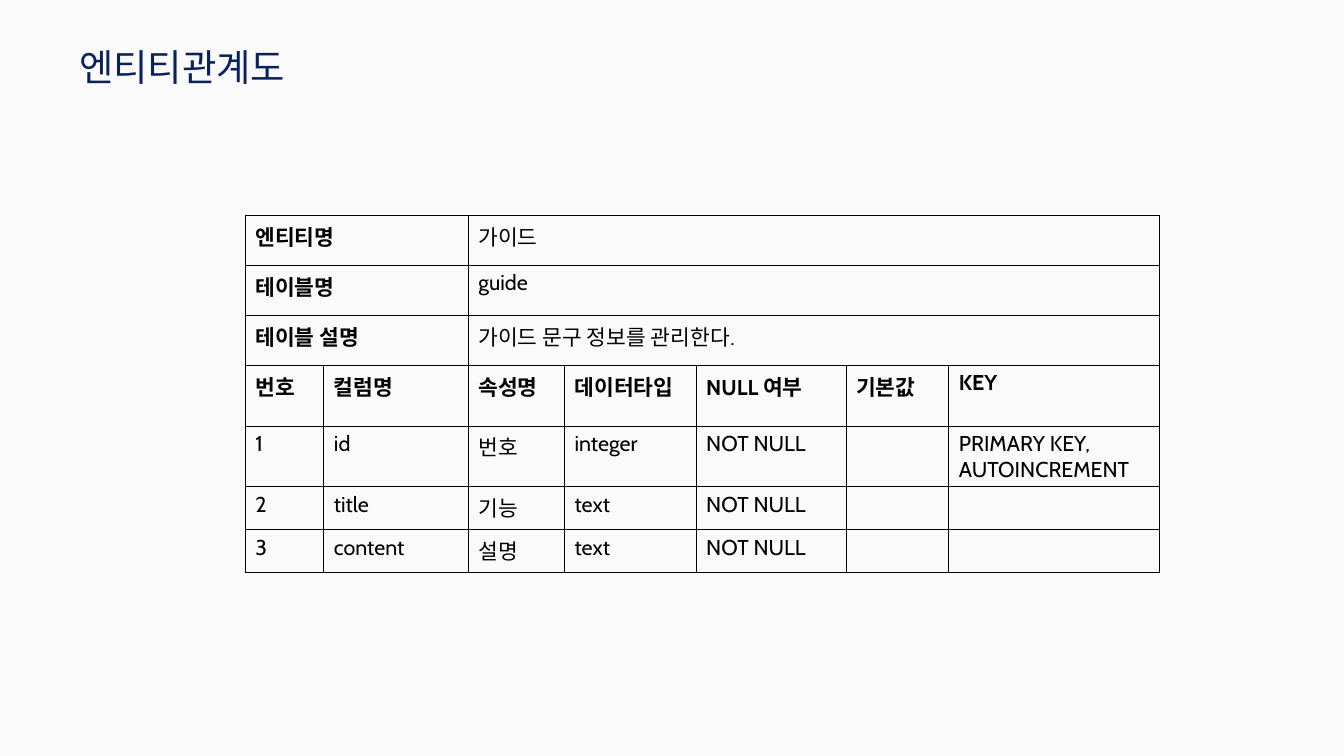
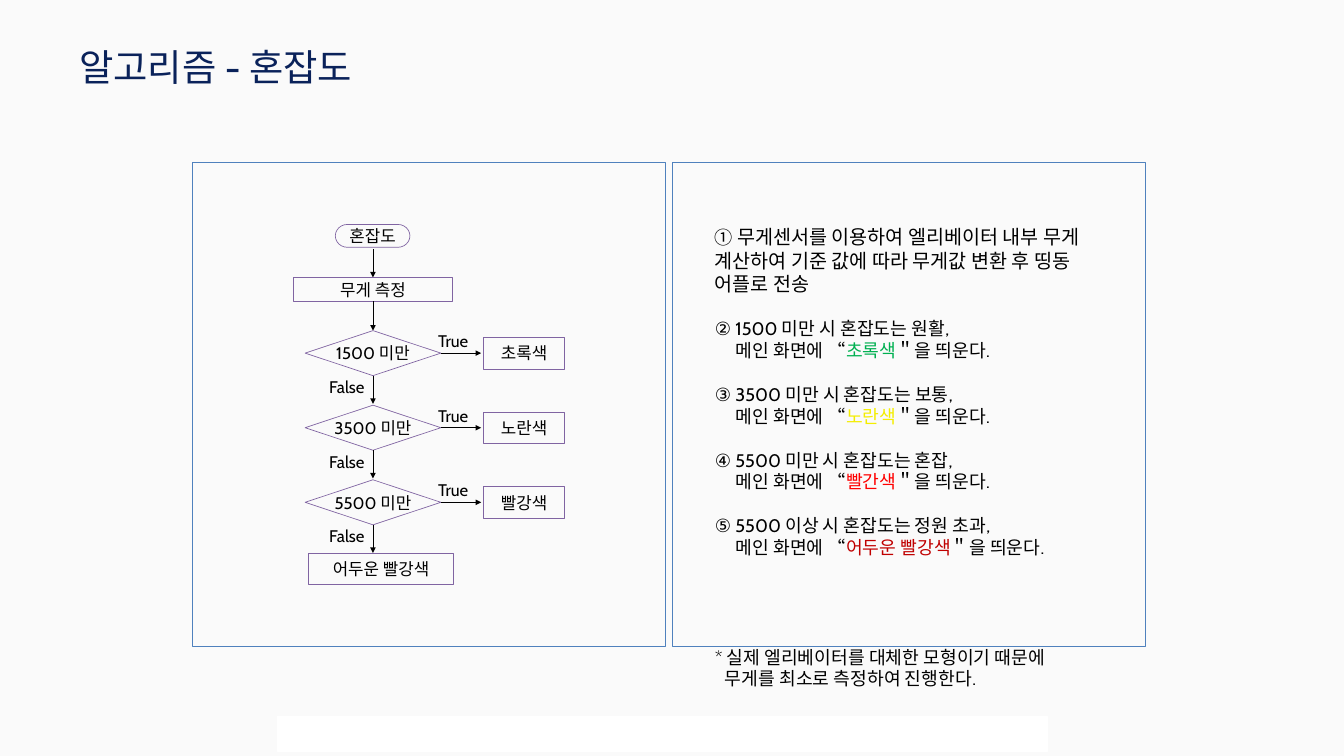
from lxml import etree
from pptx import Presentation
from pptx.dml.color import RGBColor
from pptx.enum.shapes import MSO_CONNECTOR, MSO_SHAPE as SHAPE
from pptx.enum.text import MSO_ANCHOR as ANCHOR, MSO_AUTO_SIZE as FIT, PP_ALIGN as ALIGN
from pptx.oxml.ns import qn
from pptx.util import Inches, Pt

# Shared style
FONT = "Cabin"
BACKGROUND = RGBColor(0xFA, 0xFA, 0xFA)
NAVY = RGBColor(0x0A, 0x22, 0x5A)
BLACK = RGBColor(0, 0, 0)
WHITE = RGBColor(0xFF, 0xFF, 0xFF)
BLUE = RGBColor(0x4F, 0x81, 0xBD)
PURPLE = RGBColor(0x80, 0x64, 0xA2)
GREEN = RGBColor(0x00, 0xB0, 0x50)
YELLOW = RGBColor(0xF4, 0xEE, 0x00)
RED = RGBColor(0xFF, 0, 0)
DARK_RED = RGBColor(0xC0, 0, 0)

# Slide grid: 20 columns by 11.25 rows
COLS, ROWS = 20, 11.25
SLIDE_W, SLIDE_H = Inches(20), Inches(11.25)

# Entity table
COLUMN_WIDTHS = [1.17, 2.15, 1.43, 1.96, 2.23, 1.53, 3.14]
ROW_HEIGHTS = [0.74, 0.75, 0.74, 0.9, 0.9, 0.64, 0.64]
ENTITY = [
    ("엔티티명", "가이드"),
    ("테이블명", "guide"),
    ("테이블 설명", "가이드 문구 정보를 관리한다."),
]
FIELDS = [
    ("번호", "컬럼명", "속성명", "데이터타입", "NULL 여부", "기본값", "KEY"),
    ("1", "id", "번호", "integer", "NOT NULL", "", "PRIMARY KEY, AUTOINCREMENT"),
    ("2", "title", "기능", "text", "NOT NULL", "", ""),
    ("3", "content", "설명", "text", "NOT NULL", "", ""),
]

# Flowchart and explanation
DECISIONS = [("1500 미만", "초록색"), ("3500 미만", "노란색"), ("5500 미만", "빨강색")]
LEVELS = [
    ("② 1500 미만 시 혼잡도는 원활,", "초록색", GREEN),
    ("③ 3500 미만 시 혼잡도는 보통,", "노란색", YELLOW),
    ("④ 5500 미만 시 혼잡도는 혼잡,", "빨간색", RED),
    ("⑤ 5500 이상 시 혼잡도는 정원 초과,", "어두운 빨강색", DARK_RED),
]
NOTE_SIZE = 19.5
NOTE_GAP = 23.5


def col(n):
    return int(SLIDE_W * n / COLS)


def row(n):
    return int(SLIDE_H * n / ROWS)


def place(x, y, w, h):
    return col(x), row(y), col(w), row(h)


def style(font, size, color=BLACK, bold=False):
    font.name, font.size, font.bold = FONT, Pt(size), bold
    font.color.rgb = color


def add_slide(prs, title):
    s = prs.slides.add_slide(prs.slide_layouts[5])
    sp = s.shapes.title
    sp.left, sp.top, sp.width, sp.height = place(1.08, 0.6, 6.32, 0.77)
    tf = sp.text_frame
    tf.text = title
    tf.word_wrap, tf.auto_size = True, FIT.SHAPE_TO_FIT_TEXT
    tf.vertical_anchor = ANCHOR.TOP
    p = tf.paragraphs[0]
    p.alignment = ALIGN.LEFT
    style(p.runs[0].font, 40, NAVY)
    return s


def add_box(s, kind, x, y, w, h, line, text="", fill=None):
    sp = s.shapes.add_shape(kind, *place(x, y, w, h))
    sp.shadow.inherit = False
    if fill is None:
        sp.fill.background()
    else:
        sp.fill.solid()
        sp.fill.fore_color.rgb = fill
    sp.line.color.rgb, sp.line.width = line, Pt(0.75)
    if text:
        tf = sp.text_frame
        tf.text = text
        tf.word_wrap, tf.vertical_anchor = False, ANCHOR.MIDDLE
        p = tf.paragraphs[0]
        p.alignment = ALIGN.CENTER
        style(p.runs[0].font, 18)


def add_label(s, x, y, w, text):
    tf = s.shapes.add_textbox(*place(x, y, w, 0.4)).text_frame
    tf.text, tf.word_wrap = text, True
    style(tf.paragraphs[0].runs[0].font, 18)


def add_arrow(s, x1, y1, x2, y2):
    line = s.shapes.add_connector(
        MSO_CONNECTOR.STRAIGHT, col(x1), row(y1), col(x2), row(y2))
    line.line.color.rgb, line.line.width = BLACK, Pt(0.75)
    etree.SubElement(line.line._get_or_add_ln(), qn("a:tailEnd"), type="triangle")
    etree.SubElement(line._element.spPr, qn("a:effectLst"))


def set_borders(cell):
    tc_pr = cell._tc.get_or_add_tcPr()
    for side in "LRTB":
        ln = etree.SubElement(tc_pr, qn(f"a:ln{side}"), w=str(Pt(1)))
        fill = etree.SubElement(ln, qn("a:solidFill"))
        etree.SubElement(fill, qn("a:srgbClr"), val=str(BLACK))


def fill_cell(cell, text, bold):
    cell.text = text
    cell.margin_left = cell.margin_right = Inches(0.15)
    cell.margin_top = cell.margin_bottom = Inches(0.07)
    style(cell.text_frame.paragraphs[0].font, 23, bold=bold)
    for r in cell.text_frame.paragraphs[0].runs:
        style(r.font, 23, bold=bold)


def add_entity_table(s):
    frame = s.shapes.add_table(
        len(ROW_HEIGHTS), len(COLUMN_WIDTHS),
        *place(3.65, 3.21, sum(COLUMN_WIDTHS), sum(ROW_HEIGHTS)))
    table = frame.table
    table.first_row = table.horz_banding = False
    for column, width in zip(table.columns, COLUMN_WIDTHS):
        column.width = col(width)
    for table_row, height in zip(table.rows, ROW_HEIGHTS):
        table_row.height = row(height)
    for cell in table.iter_cells():
        set_borders(cell)
        cell.fill.background()
    # Entity rows: a name over two columns, a value over the rest
    for i, (name, value) in enumerate(ENTITY):
        table.cell(i, 0).merge(table.cell(i, 1))
        table.cell(i, 2).merge(table.cell(i, len(COLUMN_WIDTHS) - 1))
        fill_cell(table.cell(i, 0), name, True)
        fill_cell(table.cell(i, 2), value, False)
    # Field rows under their header
    for i, values in enumerate(FIELDS, len(ENTITY)):
        for j, value in enumerate(values):
            fill_cell(table.cell(i, j), value, i == len(ENTITY))


def add_flowchart(s):
    center, top, step = 5.55, 4.92, 1.11
    width, height, box_h = 2.02, 0.67, 0.47
    add_box(s, SHAPE.FLOWCHART_TERMINATOR, 4.99, 3.34, 1.11, 0.34, PURPLE, "혼잡도")
    add_arrow(s, center, 3.71, center, 4.13)
    add_box(s, SHAPE.RECTANGLE, 4.37, 4.13, 2.36, 0.35, PURPLE, "무게 측정")
    add_arrow(s, center, 4.48, center, top)
    for i, (question, result) in enumerate(DECISIONS):
        y = top + i * step
        middle, bottom = y + height / 2, y + height
        add_box(s, SHAPE.DIAMOND, center - width / 2, y, width, height, PURPLE, question)
        add_label(s, 6.42, middle - 0.38, 0.92, "True")
        add_arrow(s, center + width / 2, middle, 7.16, middle)
        add_box(s, SHAPE.RECTANGLE, 7.2, middle - box_h / 2, 1.2, box_h, PURPLE, result)
        add_label(s, 4.8, bottom - 0.03, 1.24, "False")
        add_arrow(s, center, bottom, center, y + step - 0.02)
    add_box(s, SHAPE.RECTANGLE, 4.59, top + len(DECISIONS) * step - 0.02, 2.16, box_h,
            PURPLE, "어두운 빨강색")


def add_paragraph(tf, runs, before=0, indent=0.0):
    """Each run is (text, size, colour)."""
    p = tf.paragraphs[0]
    if p.runs:
        p = tf.add_paragraph()
    if before:
        p.space_before = Pt(before)
    if indent:
        p._p.get_or_add_pPr().set("marL", str(Inches(indent)))
    for text, size, color in runs:
        r = p.add_run()
        r.text = text
        style(r.font, size, color)


def add_explanation(s):
    tf = s.shapes.add_textbox(*place(10.54, 3.3, 6.07, 7.67)).text_frame
    tf.word_wrap = True
    add_paragraph(tf, [
        ("① ", NOTE_SIZE, BLACK),
        ("무게센서를 이용하여 엘리베이터 내부 무게 계산하여 기준 값에 따라 "
         "무게값 변환 후 띵동 어플로 전송", 21, BLACK)])
    for condition, name, color in LEVELS:
        add_paragraph(tf, [(condition, NOTE_SIZE, BLACK)], NOTE_GAP)
        add_paragraph(tf, [("메인 화면에 “", NOTE_SIZE, BLACK), (name, NOTE_SIZE, color),
                           ("＂을 띄운다.", NOTE_SIZE, BLACK)], indent=0.31)
    add_paragraph(tf, [("* 실제 엘리베이터를 대체한 모형이기 때문에", NOTE_SIZE, BLACK)],
                  4 * NOTE_GAP)
    add_paragraph(tf, [("무게를 최소로 측정하여 진행한다.", NOTE_SIZE, BLACK)], indent=0.15)


def main():
    prs = Presentation()
    prs.slide_width, prs.slide_height = SLIDE_W, SLIDE_H
    fill = prs.slide_master.background.fill
    fill.solid()
    fill.fore_color.rgb = BACKGROUND

    # Entity relationship
    add_entity_table(add_slide(prs, "엔티티관계도"))

    # Congestion algorithm
    s = add_slide(prs, "알고리즘 - 혼잡도")
    for x in (2.86, 10):
        add_box(s, SHAPE.RECTANGLE, x, 2.42, 7.04, 7.2, BLUE)
    add_explanation(s)
    add_box(s, SHAPE.RECTANGLE, 4.13, 10.66, 11.46, 0.52, WHITE, fill=WHITE)
    add_flowchart(s)

    prs.save("out.pptx")


if __name__ == "__main__":
    main()
